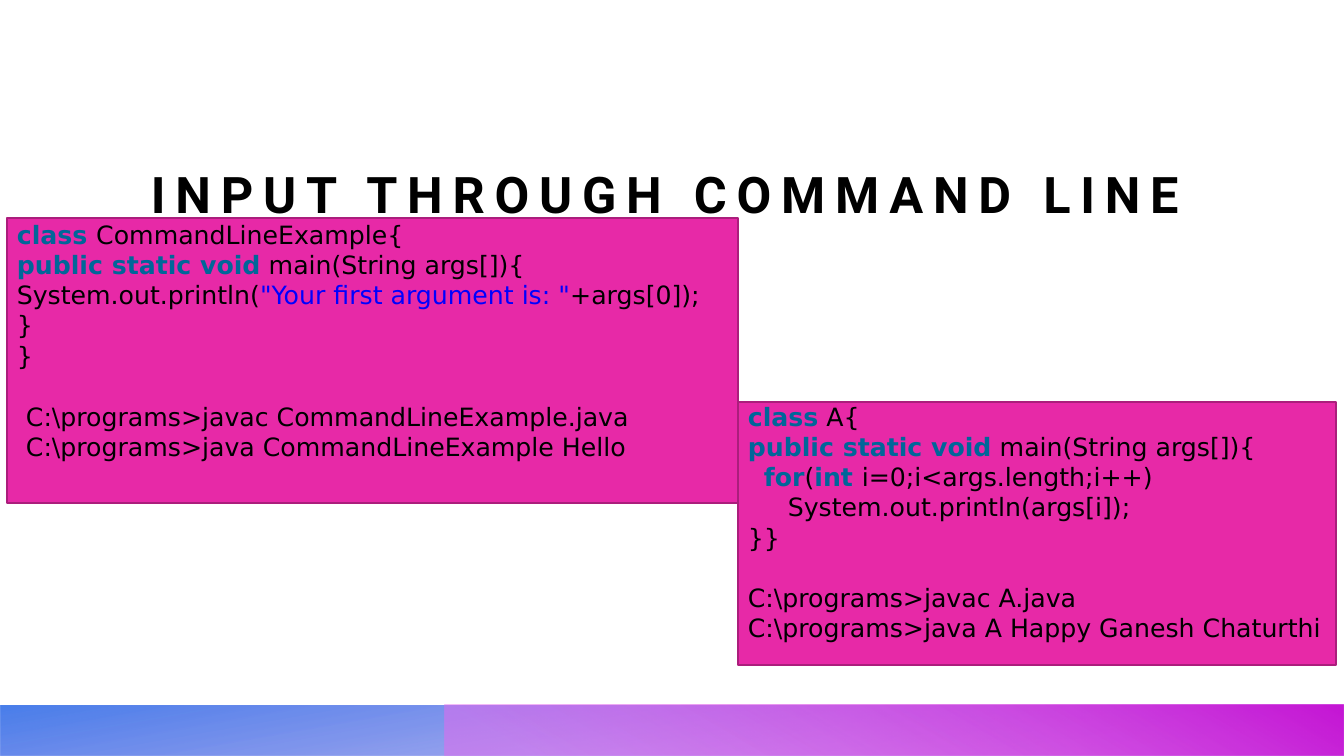
"""Build a slide on reading input through the command line."""
from lxml import etree
from pptx import Presentation
from pptx.dml.color import RGBColor
from pptx.enum.shapes import MSO_SHAPE
from pptx.enum.text import MSO_ANCHOR
from pptx.oxml import parse_xml
from pptx.util import Emu, Pt

RECT = MSO_SHAPE.RECTANGLE
TOP, BOTTOM = MSO_ANCHOR.TOP, MSO_ANCHOR.BOTTOM
SCALE = 914400 / 100.8
DRAW = "http://schemas.openxmlformats.org/drawingml/2006/main"

BLACK = RGBColor(0x00, 0x00, 0x00)
TEAL = RGBColor(0x00, 0x66, 0x99)
BLUE = RGBColor(0x00, 0x00, 0xFF)
PINK = RGBColor(0xE7, 0x29, 0xA7)
PLUM = RGBColor(0xAB, 0x1E, 0x7C)
INDIGO = RGBColor(0x4E, 0x41, 0xDC)
AZURE = RGBColor(0x29, 0x68, 0xE7)
ORCHID = RGBColor(0xE4, 0x6B, 0xEF)
PURPLE = RGBColor(0xC5, 0x17, 0xD5)

CODE = {"name": "DejaVu Sans", "size": Pt(18), "bold": False}
TITLE = {"name": "Roboto", "size": Pt(36), "bold": True}
PITCH = Pt(21.6)

MAIN = (0, 0, [("public static void", TEAL), (" main(String args[]){", BLACK)])
FIRST = [
    (0, 0, [("class ", TEAL), ("CommandLineExample{", BLACK)]),
    MAIN,
    (0, 0, [("System.out.println(", BLACK),
            ('"Your first argument is: "', BLUE), ("+args[0]);", BLACK)]),
    (0, 0, [("}", BLACK)]),
    (0, 0, [("}", BLACK)]),
]
SHELL = [
    (0, 0, [(r"C:\programs>javac CommandLineExample.java", BLACK)]),
    (0, 0, [(r"C:\programs>java CommandLineExample Hello", BLACK)]),
]
SECOND = [
    (0, 0, [("class", TEAL), (" A{", BLACK)]),
    MAIN,
    (16, 0, [("for", TEAL), ("(", BLACK), ("int ", TEAL),
             ("i=0;i<args.length;i++)", BLACK)]),
    (40, 0, [("System.out.println(args[i]);", BLACK)]),
    (0, 0, [("}}", BLACK)]),
    (0, PITCH, [(r"C:\programs>javac A.java", BLACK)]),
    (0, 0, [(r"C:\programs>java A Happy Ganesh Chaturthi", BLACK)]),
]


def px(size):
    """Turn pixels into EMU."""
    return Emu(round(size * SCALE))


def add_rect(slide, box):
    """Add a plain rectangle without shadow."""
    rect = slide.shapes.add_shape(RECT, *map(px, box))
    rect.shadow.inherit = False
    return rect


def add_band(slide, box, stops, angle, turn=0):
    """Add a mirrored footer band with a clear gradient."""
    band = add_rect(slide, box)
    band.line.fill.background()
    band.rotation = turn
    props = band._element.spPr
    props.xfrm.set("flipH", "1")
    marks = "".join(
        f'<a:gs pos="{pos * 1000}"><a:srgbClr val="{color}">'
        f'<a:alpha val="{alpha * 1000}"/></a:srgbClr></a:gs>'
        for pos, color, alpha in stops)
    grad = parse_xml(
        f'<a:gradFill xmlns:a="{DRAW}" rotWithShape="1"><a:gsLst>{marks}'
        f'</a:gsLst><a:lin ang="{angle * 60000}" scaled="0"/></a:gradFill>')
    props.find(f"{{{DRAW}}}prstGeom").addnext(grad)


def add_panel(slide, box):
    """Add a pink panel behind code."""
    panel = add_rect(slide, box)
    panel.fill.solid()
    panel.fill.fore_color.rgb = PINK
    panel.line.color.rgb = PLUM
    panel.line.width = Pt(1)


def add_run(para, text, color, style):
    """Add one run in the given style and color."""
    run = para.add_run()
    run.text = text
    for key, value in style.items():
        setattr(run.font, key, value)
    run.font.color.rgb = color
    return run


def add_frame(slide, box, anchor=TOP):
    """Add a wrapped text box and give its frame."""
    frame = slide.shapes.add_textbox(*map(px, box)).text_frame
    frame.word_wrap = True
    frame.vertical_anchor = anchor
    return frame


def add_title(slide, box, text):
    """Add the spaced bold title."""
    frame = add_frame(slide, box, BOTTOM)
    for side in ("left", "top", "right", "bottom"):
        setattr(frame, f"margin_{side}", 0)
    run = add_run(frame.paragraphs[0], text, BLACK, TITLE)
    run.font._element.set("spc", "700")


def add_code(slide, box, lines):
    """Add code lines with colored keywords."""
    frame = add_frame(slide, box)
    for num, (indent, gap, parts) in enumerate(lines):
        para = frame.add_paragraph() if num else frame.paragraphs[0]
        para.line_spacing = PITCH
        para.space_before = gap
        etree.ElementBase.set(para._p.get_or_add_pPr(), "marL", str(px(indent)))
        for text, color in parts:
            style = {**CODE, "bold": color == TEAL}
            add_run(para, text, color, style)


def main():
    """Build and save the slide."""
    deck = Presentation()
    deck.slide_width, deck.slide_height = px(1344), px(756)
    slide = deck.slides.add_slide(deck.slide_layouts[6])
    add_band(slide, (0, 705, 1344, 51),
             [(14, INDIGO, 28), (100, AZURE, 85)], 100, 180)
    add_band(slide, (445, 705, 899, 51),
             [(9, ORCHID, 55), (99, PURPLE, 100)], 240)
    add_panel(slide, (7, 218, 731, 285))
    add_title(slide, (151, 88, 1129, 136), "INPUT THROUGH COMMAND LINE")
    add_code(slide, (7, 214, 823, 163), FIRST)
    add_code(slide, (16, 396, 672, 72), SHELL)
    add_panel(slide, (738, 402, 598, 263))
    add_code(slide, (738, 396, 646, 287), SECOND)
    deck.save("out.pptx")


if __name__ == "__main__":
    main()
